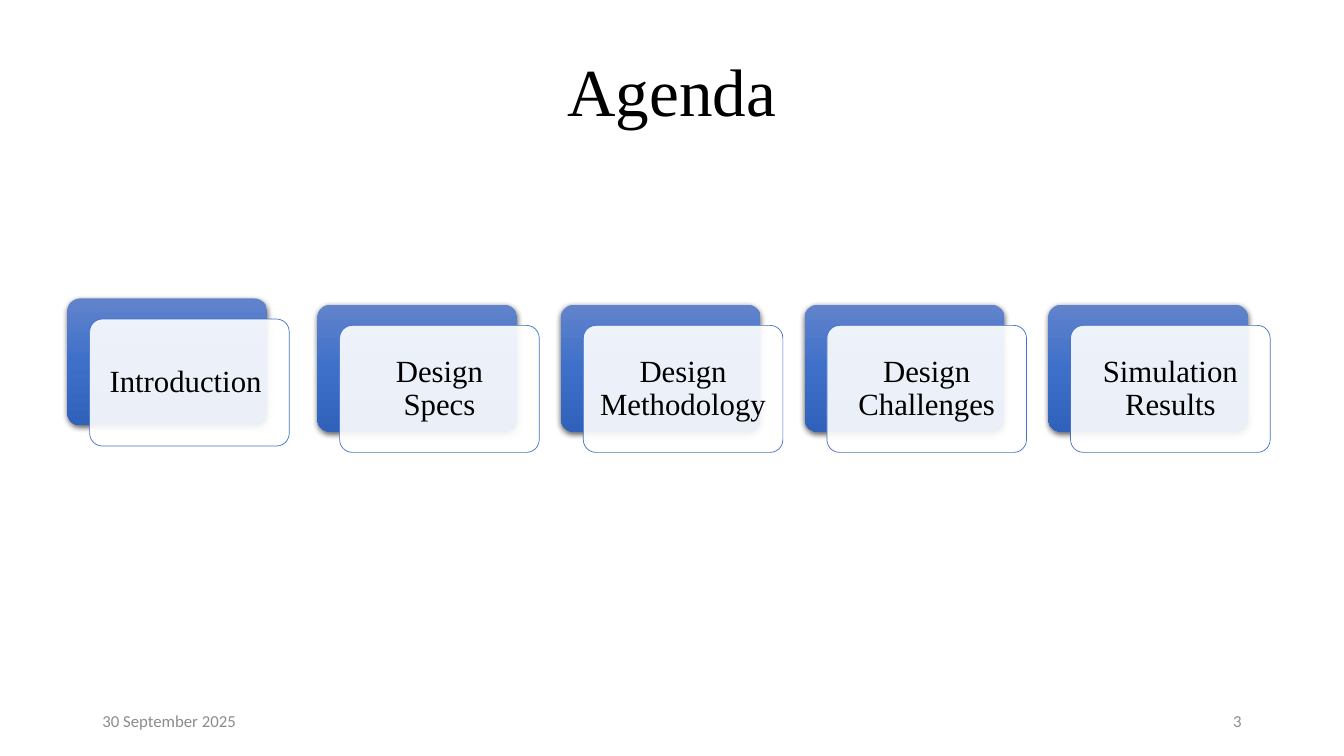
from copy import deepcopy

from lxml.etree import SubElement
from pptx import Presentation
from pptx.dml.color import RGBColor
from pptx.enum.shapes import MSO_SHAPE
from pptx.enum.text import MSO_ANCHOR, PP_ALIGN
from pptx.oxml.ns import qn
from pptx.util import Cm, Pt

TITLE = "Agenda"
TOPICS = ["Introduction ", "Design Specs", "Design Methodology",
          "Design Challenges", "Simulation Results"]
DATE, PAGE = "30 September 2025", "3"

THEME = {
    "gradient": [(0, "6183CB"), (0.5, "3E70CA"), (1, "3062BB")],
    "card": "FFFFFF",
    "card_alpha": 90,
    "outline": "4472C4",
    "shadow": "000000",
    "title": {"name": "Times New Roman", "size": Pt(48), "color": "000000"},
    "topic": {"name": "Times New Roman", "size": Pt(22), "color": "000000"},
    "footer": {"name": "Calibri", "size": Pt(12), "color": "8C8C8C"},
}

# Lengths in centimetres
CARD_W, CARD_H = 5.03, 3.2
ROW_LEFT, ROW_TOP, PITCH = 1.86, 7.68, 6.14
FIRST_NUDGE = -0.16
FRONT_DX, FRONT_DY = 0.56, 0.52
CARD_INSET = 0.33


def write(sp, text, style, align, anchor):
    tf = sp.text_frame
    tf.word_wrap = True
    tf.vertical_anchor = anchor
    p = tf.paragraphs[0]
    p.alignment = align
    r = p.add_run()
    r.text = text
    for key, value in style.items():
        if key == "color":
            r.font.color.rgb = RGBColor.from_string(value)
        else:
            setattr(r.font, key, value)
    return tf


def add_label(s, box, text, style, align, anchor=MSO_ANCHOR.MIDDLE):
    sp = s.shapes.add_textbox(*map(Cm, box))
    write(sp, text, style, align, anchor)


def add_card(s, left, top):
    sp = s.shapes.add_shape(MSO_SHAPE.ROUNDED_RECTANGLE,
                            Cm(left), Cm(top), Cm(CARD_W), Cm(CARD_H))
    sp.adjustments[0] = 0.1
    sp.shadow.inherit = False
    return sp


def add_back_card(s, left, top):
    sp = add_card(s, left, top)
    sp.line.fill.background()
    sp.fill.gradient()
    sp.fill.gradient_angle = 270
    stops = sp._element.spPr.find(".//" + qn("a:gsLst"))
    stops.append(deepcopy(stops[0]))
    for stop, (position, color) in zip(sp.fill.gradient_stops, THEME["gradient"]):
        stop.position = position
        stop.color.rgb = RGBColor.from_string(color)
    effects = sp._element.spPr.find(qn("a:effectLst"))
    shadow = SubElement(effects, qn("a:outerShdw"), blurRad=str(Pt(4.5)),
                        dist=str(Pt(1.5)), dir="5400000", algn="ctr",
                        rotWithShape="0")
    color = SubElement(shadow, qn("a:srgbClr"), val=THEME["shadow"])
    SubElement(color, qn("a:alpha"), val="63000")


def add_front_card(s, left, top, text):
    sp = add_card(s, left, top)
    sp.fill.solid()
    sp.fill.fore_color.rgb = RGBColor.from_string(THEME["card"])
    color = sp._element.spPr.find(qn("a:solidFill"))[0]
    SubElement(color, qn("a:alpha"), val=str(THEME["card_alpha"] * 1000))
    sp.line.color.rgb = RGBColor.from_string(THEME["outline"])
    sp.line.width = Pt(0.5)
    tf = write(sp, text, THEME["topic"], PP_ALIGN.CENTER, MSO_ANCHOR.MIDDLE)
    tf.paragraphs[0].line_spacing = 0.9
    for side in ("left", "top", "right", "bottom"):
        setattr(tf, f"margin_{side}", Cm(CARD_INSET))


def main():
    prs = Presentation()
    prs.slide_width, prs.slide_height = Cm(33.87), Cm(19.05)
    s = prs.slides.add_slide(prs.slide_layouts[6])

    add_label(s, (7.09, 1.12, 19.69, 2.31), TITLE, THEME["title"],
              PP_ALIGN.CENTER, MSO_ANCHOR.TOP)
    for i, topic in enumerate(TOPICS):
        nudge = FIRST_NUDGE if i == 0 else 0
        left, top = ROW_LEFT + i * PITCH + nudge, ROW_TOP + nudge
        add_back_card(s, left, top)
        add_front_card(s, left + FRONT_DX, top + FRONT_DY, topic)
    for left, text, align in ((2.33, DATE, PP_ALIGN.LEFT),
                              (23.92, PAGE, PP_ALIGN.RIGHT)):
        add_label(s, (left, 17.66, 7.62, 1.01), text, THEME["footer"], align)

    prs.save("out.pptx")


if __name__ == "__main__":
    main()
